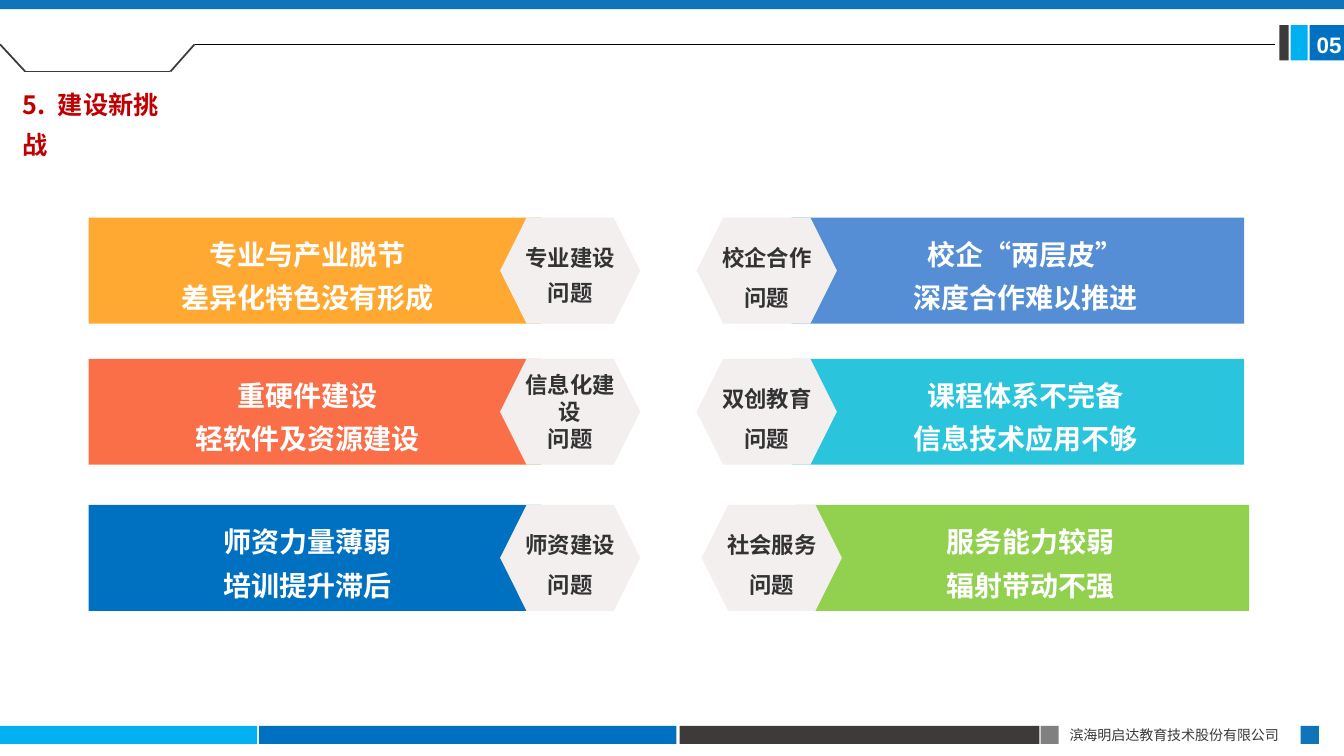
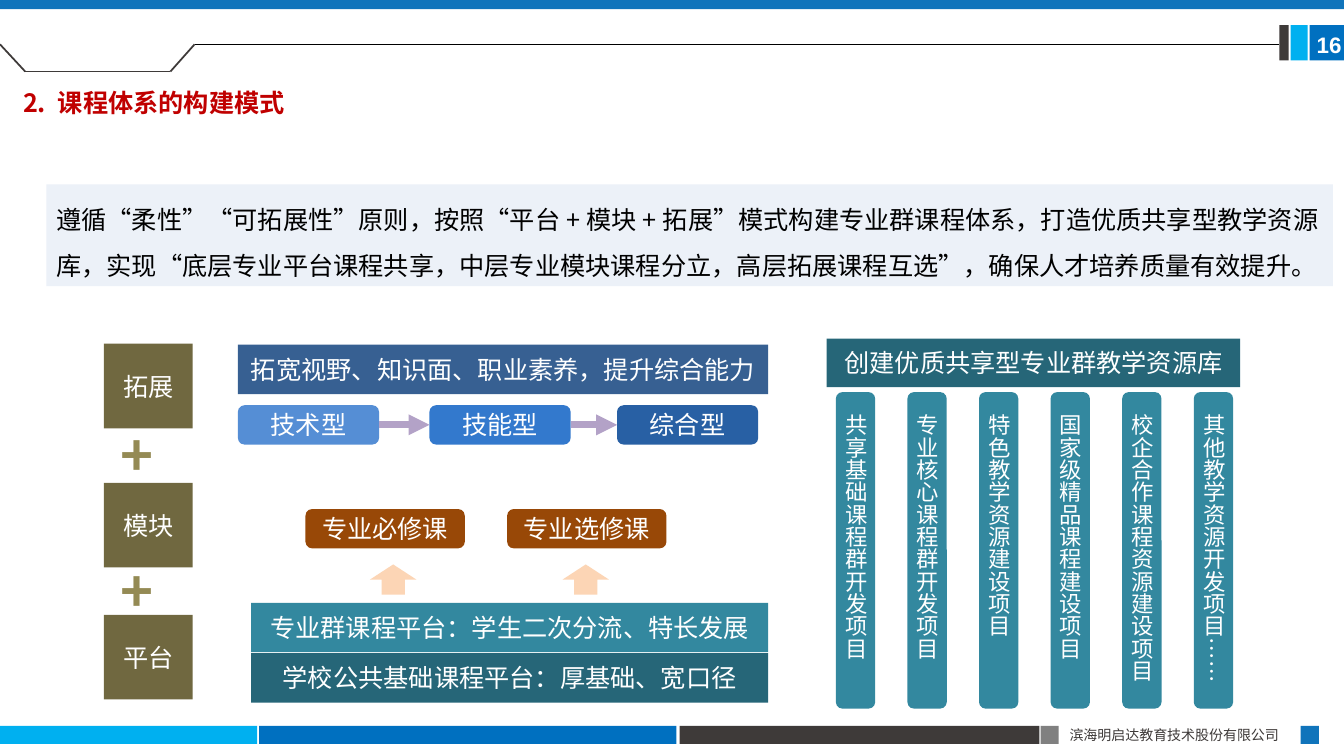
"""Build two slides on new challenges and on the course system model."""
from dataclasses import dataclass, replace
from typing import Optional

from lxml.etree import SubElement
from pptx import Presentation
from pptx.dml.color import RGBColor
from pptx.enum.lang import MSO_LANGUAGE_ID as LANG
from pptx.enum.shapes import MSO_CONNECTOR, MSO_SHAPE as SHAPE
from pptx.enum.text import MSO_ANCHOR as ANCHOR, PP_ALIGN as ALIGN
from pptx.oxml.ns import qn
from pptx.util import Inches, Pt

COLORS = {
    "white": "FFFFFF", "black": "000000", "ink": "333333", "charcoal": "3E3A39",
    "gray": "808080", "mist": "F3EFEF", "panel": "ECF1F8", "title": "C00000",
    "band": "1074BB", "cyan": "00B0F0", "blue": "0070C0", "sky": "558ED5",
    "orange": "FFA932", "coral": "FA6F48", "aqua": "2AC4DC", "green": "92D050",
    "olive": "706840", "khaki": "948A54", "peach": "FCD5B5", "brown": "984807",
    "teal": "33889F", "deep_teal": "266678", "navy": "376092",
    "mid_blue": "3379CD", "dark_blue": "2860A4", "lilac": "B3A2C7",
}
CJK = "Noto Sans CJK SC"


@dataclass(frozen=True)
class Style:
    """Describe how the text of a box looks."""
    size: float = 18
    color: str = "white"
    bold: bool = False
    font: str = CJK
    align: ALIGN = ALIGN.CENTER
    anchor: ANCHOR = ANCHOR.MIDDLE
    spacing: float = 1.0
    insets: tuple[float, float, float, float] = (0.1, 0.05, 0.1, 0.05)
    vertical: bool = False


@dataclass(frozen=True)
class Box:
    """Describe a filled shape, or a text box when it has no fill."""
    left: float
    top: float
    width: float
    height: float
    fill: Optional[str] = None
    lines: tuple[str, ...] = ()
    style: Style = Style()
    shape: SHAPE = SHAPE.RECTANGLE


@dataclass(frozen=True)
class Challenge:
    """Describe a notched banner with its hexagon label."""
    left: float
    top: float
    fill: str
    lines: tuple[str, ...]
    label: tuple[str, ...]
    spacing: float
    mirrored: bool = False


LABEL = Style()
PLAIN = Style(align=ALIGN.LEFT, anchor=ANCHOR.TOP)
TITLE = replace(PLAIN, color="title", bold=True)
BODY = replace(PLAIN, color="black", spacing=1.5)
PLUS = replace(PLAIN, size=40, color="khaki", bold=True)
FOOTER = replace(PLAIN, size=10, color="charcoal")
NUMBER = replace(PLAIN, size=16, bold=True, font="Arial", insets=(0, 0.05, 0, 0.05))
BANNER = Style(20, bold=True, font="Calibri", spacing=1.3, insets=(0.16, 0.05, 0.31, 0.05))
HEXAGON = Style(16, "ink", True, "Calibri", insets=(0, 0, 0, 0))
PILLAR = Style(16, align=ALIGN.LEFT, insets=(0.1, 0.2, 0.1, 0.05), vertical=True)

FRAME = (
    Box(0, 7.2, 2.55, 0.18, "cyan"),
    Box(2.57, 7.2, 4.14, 0.18, "blue"),
    Box(6.74, 7.2, 3.57, 0.18, "charcoal"),
    Box(10.51, 7.16, 2.4, 0.27, None, ("滨海明启达教育技术股份有限公司",), FOOTER),
    Box(10.32, 7.2, 0.18, 0.18, "gray"),
    Box(12.9, 7.2, 0.18, 0.18, "band"),
    Box(12.99, 0.25, 0.34, 0.35, "blue"),
    Box(12.8, 0.25, 0.17, 0.35, "cyan"),
    Box(12.69, 0.25, 0.09, 0.35, "charcoal"),
    Box(0, 0, 13.33, 0.09, "band"),
)
TAB = ((0, 0.44), (0.25, 0.71), (1.69, 0.71), (1.93, 0.44))

BANNER_W, BANNER_H, NOTCH = 4.49, 1.05, 0.41
HEX_W, HEX_OUT = 1.39, 0.94
CHALLENGES = (
    Challenge(0.88, 2.16, "orange", ("专业与产业脱节", "差异化特色没有形成"), ("专业建设问题",), 1.3),
    Challenge(0.88, 3.56, "coral", ("重硬件建设", "轻软件及资源建设"), ("信息化建设", "问题"), 1.0),
    Challenge(0.88, 5.01, "blue", ("师资力量薄弱", "培训提升滞后"), ("师资建设问题",), 1.5),
    Challenge(7.85, 2.16, "sky", ("校企“两层皮”", "深度合作难以推进"), ("校企合作问题",), 1.5, True),
    Challenge(7.85, 3.56, "aqua", ("课程体系不完备", "信息技术应用不够"), ("双创教育问题",), 1.5, True),
    Challenge(7.9, 5.01, "green", ("服务能力较弱", "辐射带动不强"), ("社会服务问题",), 1.5, True),
)

PRINCIPLE = (
    "遵循“柔性”“可拓展性”原则，按照“平台+模块+拓展”模式构建专业群课程体系，"
    "打造优质共享型教学资源库，实现“底层专业平台课程共享，中层专业模块课程分立，"
    "高层拓展课程互选”，确保人才培养质量有效提升。"
)
LEVELS = (("拓展", 3.41), ("模块", 4.79), ("平台", 6.1))
COURSES = (("专业必修课", 3.03), ("专业选修课", 5.03))
TYPES = (("技术型", 2.36, "sky"), ("技能型", 4.26, "mid_blue"), ("综合型", 6.12, "dark_blue"))
PROJECTS = (
    "共享基础课程群开发项目", "专业核心课程群开发项目", "特色教学资源建设项目",
    "国家级精品课程建设项目", "校企合作课程资源建设项目", "其他教学资源开发项目……",
)
MODEL = (
    Box(0.46, 1.83, 12.76, 1.01, "panel", (PRINCIPLE,), BODY),
    *(Box(1.03, top, 0.88, 0.84, "olive", (name,)) for name, top in LEVELS),
    *(Box(1.1, top, 0.49, 0.77, None, ("+",), PLUS) for top in (4.12, 5.47)),
    Box(2.36, 3.42, 5.26, 0.49, "navy", ("拓宽视野、知识面、职业素养，提升综合能力",)),
    *(Box(left, 5.05, 1.58, 0.39, "brown", (name,), LABEL, SHAPE.ROUNDED_RECTANGLE)
      for name, left in COURSES),
    *(Box(left, 5.6, 0.46, 0.3, "peach", shape=SHAPE.UP_ARROW) for left in (3.67, 5.58)),
    Box(2.49, 5.98, 5.13, 0.49, "teal", ("专业群课程平台：学生二次分流、特长发展",)),
    Box(2.49, 6.48, 5.13, 0.49, "deep_teal", ("学校公共基础课程平台：厚基础、宽口径",)),
    Box(8.2, 3.36, 4.1, 0.48, "deep_teal", ("创建优质共享型专业群教学资源库",)),
    *(Box(8.29 + 0.71 * i, 3.89, 0.39, 3.14, "teal", (name,), PILLAR, SHAPE.ROUNDED_RECTANGLE)
      for i, name in enumerate(PROJECTS)),
)


def rgb(name: str) -> RGBColor:
    """Return a palette colour."""
    return RGBColor.from_string(COLORS[name])


def write(sp, lines: tuple[str, ...], style: Style) -> None:
    """Fill a shape with styled paragraphs."""
    tf = sp.text_frame
    left, top, right, bottom = map(Inches, style.insets)
    frame = {"word_wrap": True, "vertical_anchor": style.anchor, "margin_left": left,
             "margin_top": top, "margin_right": right, "margin_bottom": bottom}
    for key, value in frame.items():
        setattr(tf, key, value)
    if style.vertical:
        sp.element.txBody.find(qn("a:bodyPr")).set("vert", "eaVert")
    font = {"size": Pt(style.size), "bold": style.bold, "name": style.font,
            "language_id": LANG.SIMPLIFIED_CHINESE}
    for i, line in enumerate(lines):
        p = tf.add_paragraph() if i else tf.paragraphs[0]
        p.alignment, p.line_spacing = style.align, style.spacing
        r = p.add_run()
        r.text = line
        for key, value in font.items():
            setattr(r.font, key, value)
        r.font.color.rgb = rgb(style.color)
        SubElement(r._r.get_or_add_rPr(), qn("a:ea")).set("typeface", CJK)


def paint(sp, fill: str) -> None:
    """Give a shape a flat fill without line or shadow."""
    sp.shadow.inherit = False
    sp.fill.solid()
    sp.fill.fore_color.rgb = rgb(fill)
    sp.line.fill.background()


def add_box(s, box: Box):
    """Draw a box and return its shape."""
    area = [Inches(v) for v in (box.left, box.top, box.width, box.height)]
    if box.fill:
        sp = s.shapes.add_shape(box.shape, *area)
        paint(sp, box.fill)
    else:
        sp = s.shapes.add_textbox(*area)
    if box.lines:
        write(sp, box.lines, box.style)
    return sp


def add_line(s, start: tuple[float, float], end: tuple[float, float], color: str, width: float):
    """Draw a straight line and return it."""
    line = s.shapes.add_connector(MSO_CONNECTOR.STRAIGHT, *map(Inches, (*start, *end)))
    line.line.color.rgb = rgb(color)
    line.line.width = Pt(width)
    SubElement(line.element.spPr, qn("a:effectLst"))
    return line


def add_arrow(s, source, target) -> None:
    """Join the facing sides of two shapes with an arrow."""
    arrow = add_line(s, (0, 0), (1, 1), "lilac", 5)
    arrow.begin_connect(source, 3)
    arrow.end_connect(target, 1)
    SubElement(arrow.line._get_or_add_ln(), qn("a:tailEnd")).set("type", "triangle")


def add_challenge(s, item: Challenge) -> None:
    """Draw a notched banner and its hexagon."""
    right, bottom = item.left + BANNER_W, item.top + BANNER_H
    if item.mirrored:
        flat, cut, notch = right, item.left, item.left + NOTCH
        hex_left = item.left - HEX_OUT
    else:
        flat, cut, notch = item.left, right, right - NOTCH
        hex_left = right + HEX_OUT + 0.04 - HEX_W
    outline = ((cut, item.top), (notch, item.top + BANNER_H / 2), (cut, bottom), (flat, bottom))
    builder = s.shapes.build_freeform(Inches(flat), Inches(item.top))
    builder.add_line_segments([(Inches(x), Inches(y)) for x, y in outline])
    sp = builder.convert_to_shape()
    paint(sp, item.fill)
    insets = BANNER.insets[::-1] if not item.mirrored else BANNER.insets
    left, right_inset = (0.31, 0.16) if item.mirrored else (0.16, 0.31)
    insets = (left, 0.05, right_inset, 0.05)
    write(sp, item.lines, replace(BANNER, insets=insets))
    add_box(s, Box(hex_left, item.top, HEX_W, BANNER_H, "mist", item.label,
                   replace(HEXAGON, spacing=item.spacing), SHAPE.HEXAGON))


def add_page(prs, number: str, title: Box, rule_end: float):
    """Add a slide with the shared frame, page number and title."""
    s = prs.slides.add_slide(prs.slide_layouts[6])
    for box in FRAME:
        add_box(s, box)
    for start, end in zip(TAB, TAB[1:]):
        add_line(s, start, end, "charcoal", 1.25)
    add_line(s, TAB[-1], (rule_end, 0.44), "black", 0.5)
    add_box(s, Box(13.06, 0.26, 0.27, 0.37, None, (number,), NUMBER))
    add_box(s, title)
    return s


def main() -> None:
    """Build and save the presentation."""
    prs = Presentation()
    prs.slide_width, prs.slide_height = Inches(13.33), Inches(7.5)

    s = add_page(prs, "05", Box(0.13, 0.75, 1.77, 0.49, None, ("5. 建设新挑战",),
                                replace(TITLE, spacing=1.3)), 12.65)
    for item in CHALLENGES:
        add_challenge(s, item)

    s = add_page(prs, "16", Box(0.13, 0.67, 4.38, 0.5, None, ("2. 课程体系的构建模式",),
                                replace(TITLE, spacing=1.5)), 12.69)
    for box in MODEL:
        add_box(s, box)
    steps = [add_box(s, Box(left, 4.02, 1.4, 0.39, fill, (name,), LABEL, SHAPE.ROUNDED_RECTANGLE))
             for name, left, fill in TYPES]
    for source, target in zip(steps, steps[1:]):
        add_arrow(s, source, target)

    prs.save("out.pptx")


if __name__ == "__main__":
    main()
